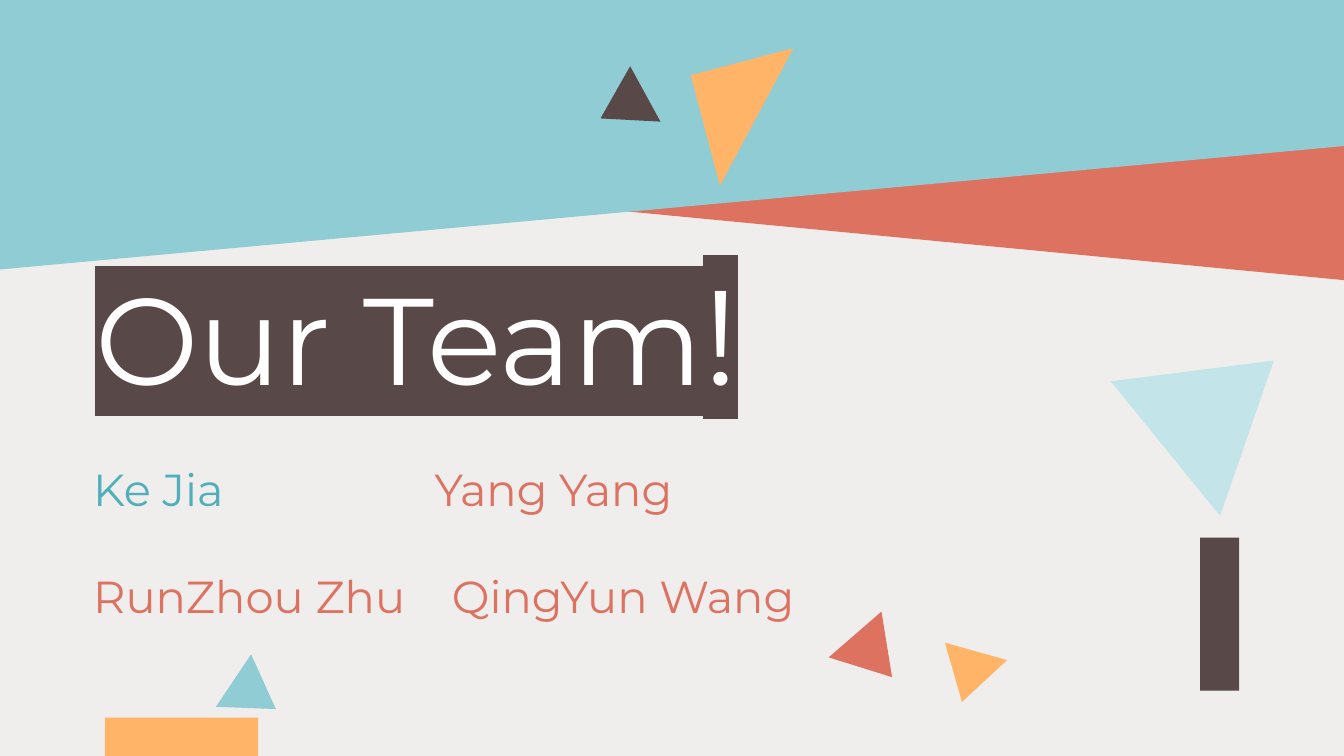
"""Build the team slide, with lengths in percent of the slide's width."""
import pptx
import pptx.dml.color
import pptx.enum.shapes
import pptx.enum.text
import pptx.util
from lxml import etree
from pptx.oxml.ns import qn

SHAPE = pptx.enum.shapes.MSO_SHAPE
TRI, RECT, RIGHT = SHAPE.ISOSCELES_TRIANGLE, SHAPE.RECTANGLE, SHAPE.RIGHT_TRIANGLE
TEAL, RED, ORANGE, BROWN, PALE = "90CCD3", "DD7260", "FFB467", "584847", "C3E5E9"
FONT = "Montserrat"

prs = pptx.Presentation()
prs.slide_width = pptx.util.Inches(10)
prs.slide_height = prs.slide_width * 9 // 16
U = prs.slide_width / 100


def paint(fmt, color):
    fmt.solid()
    fmt.fore_color.rgb = pptx.dml.color.RGBColor.from_string(color)


def text_frame(*box):
    tf = s.shapes.add_textbox(*[round(v * U) for v in box]).text_frame
    tf.word_wrap = True
    tf.margin_left = tf.margin_right = tf.margin_top = tf.margin_bottom = round(U)
    return tf


s = prs.slides.add_slide(prs.slide_layouts[6])
paint(s.background.fill, "EFEEED")

bands = [
    (RED, [(100.6, 20.9), (100.6, 0), (-0.6, 0), (-0.6, 11.2)]),
    (TEAL, [(-0.5, 20.1), (-0.5, 0), (100.8, 0), (100.8, 10.8)]),
]
for color, points in bands:
    pts = [(x * U, y * U) for x, y in points]
    fb = s.shapes.build_freeform(*pts[0])
    fb.add_line_segments(pts[1:])
    sp = fb.convert_to_shape()
    sp.shadow.inherit = False
    paint(sp.fill, color)
    sp.line.fill.background()

confetti = [
    (TRI, TEAL, 16.6, 49.8, 4.7, 3.8, 123.9),
    (RECT, ORANGE, 12.05, 49.15, 2.9, 11.4, 90),
    (TRI, PALE, 84.3, 24.9, 12.9, 10.4, 50.9),
    (RECT, BROWN, 89.3, 40, 2.9, 11.4, 0),
    (TRI, RED, 62.4, 46.7, 5.2, 4.2, 139.1),
    (TRI, ORANGE, 69.7, 48.4, 4.8, 3.9, 195.6),
    (RIGHT, ORANGE, 52.05, 4.75, 8.5, 7.9, 75.2),
    (TRI, BROWN, 44, 6, 4.7, 3.8, 241.3),
]
for kind, color, x, y, w, h, angle in confetti:
    sp = s.shapes.add_shape(kind, *[round(v * U) for v in (x, y, w, h)])
    sp.rotation = angle
    sp.shadow.inherit = False
    paint(sp.fill, color)
    sp.line.fill.background()

tf = text_frame(6.1, 13.9, 70.1, 21.5)
tf.vertical_anchor = pptx.enum.text.MSO_ANCHOR.MIDDLE
p = tf.paragraphs[0]
p.font.name = FONT
for text, size in [("Our Team", 66), ("!", 72)]:
    r = p.add_run()
    r.text = text
    r.font.size = pptx.util.Pt(size)
    paint(r.font.fill, "FFFFFF")
    hl = etree.SubElement(r._r.get_or_add_rPr(), qn("a:highlight"))
    etree.SubElement(hl, qn("a:srgbClr"), val=BROWN)

tf = text_frame(5.95, 33.35, 93, 16.6)
members = [
    (0, 25.4, [("Ke Jia\t", "50AFBA"), ("Yang Yang", RED)]),
    (28.5, 26.7, [("RunZhou Zhu\tQingYun Wang", RED)]),
]
for i, (gap, stop, runs) in enumerate(members):
    p = tf.add_paragraph() if i else tf.paragraphs[0]
    tabs = etree.SubElement(p._p.get_or_add_pPr(), qn("a:tabLst"))
    etree.SubElement(tabs, qn("a:tab"), pos=str(round(stop * U)), algn="l")
    p.space_before = pptx.util.Pt(gap)
    p.font.name, p.font.size = FONT, pptx.util.Pt(24)
    for text, color in runs:
        r = p.add_run()
        r.text = text
        paint(r.font.fill, color)

prs.save("out.pptx")
